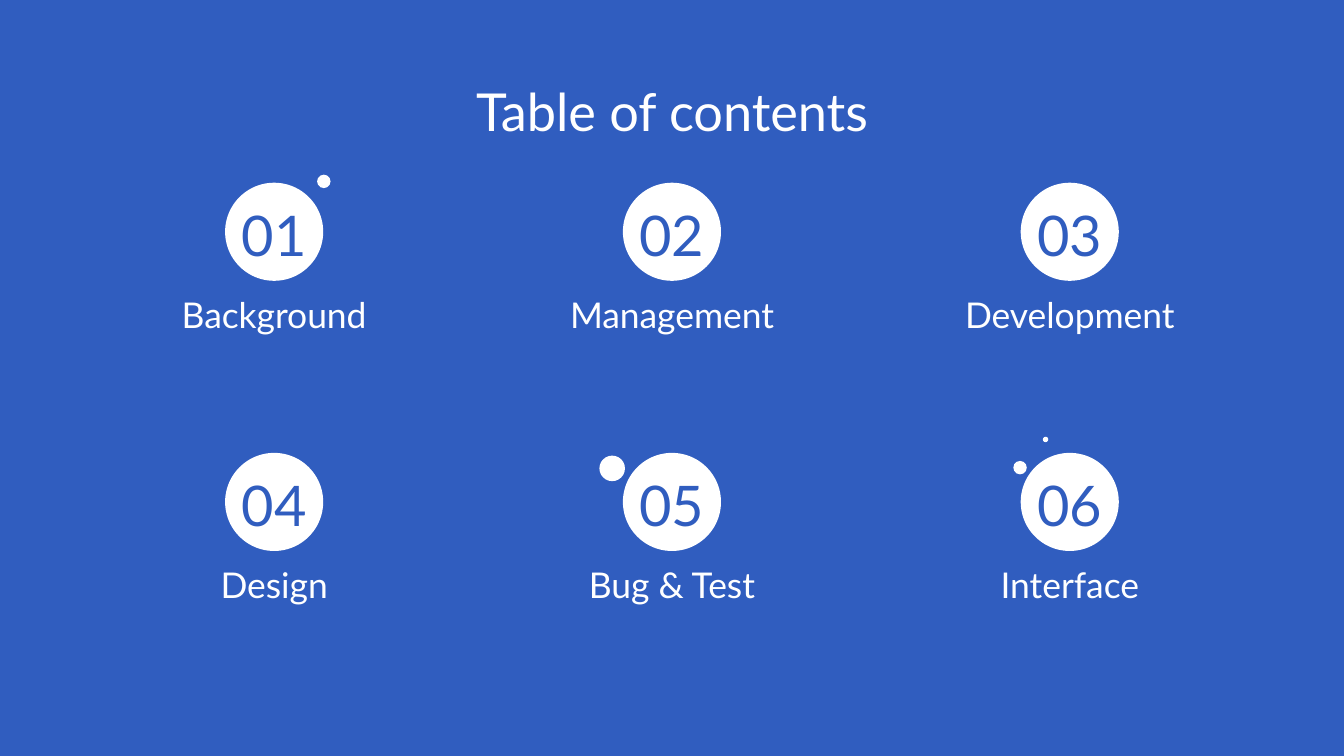
from pptx import Presentation
from pptx.dml.color import RGBColor
from pptx.enum.shapes import MSO_SHAPE
from pptx.enum.text import MSO_ANCHOR, MSO_AUTO_SIZE, PP_ALIGN
from pptx.util import Inches, Pt

BLUE = RGBColor(0x30, 0x5D, 0xBF)
WHITE = RGBColor(0xFF, 0xFF, 0xFF)

deck = Presentation()
deck.slide_width = Inches(10)
deck.slide_height = Inches(10 * 9 / 16)
slide = deck.slides.add_slide(deck.slide_layouts[5])
slide.background.fill.solid()
slide.background.fill.fore_color.rgb = BLUE


def put_text(box, text, size, color=WHITE, anchor=MSO_ANCHOR.TOP):
    frame = box.text_frame
    frame.word_wrap = True
    frame.auto_size = MSO_AUTO_SIZE.NONE
    frame.vertical_anchor = anchor
    frame.margin_left = frame.margin_right = Inches(0.1)
    frame.margin_top = frame.margin_bottom = Inches(0.1)
    frame.text = text
    para = frame.paragraphs[0]
    para.alignment = PP_ALIGN.CENTER
    para.font.name = "Lato"
    para.font.size = Pt(size)
    para.font.color.rgb = color


def add_dot(left, top, size):
    dot = slide.shapes.add_shape(
        MSO_SHAPE.OVAL, Inches(left), Inches(top), Inches(size), Inches(size))
    dot.shadow.inherit = False
    dot.fill.solid()
    dot.fill.fore_color.rgb = WHITE
    dot.line.fill.background()


title = slide.shapes.title
title.left, title.top = Inches(0.34), Inches(0.49)
title.width, title.height = Inches(9.32), Inches(0.63)
put_text(title, "Table of contents", 28)

# Topics fill a grid of three columns and two rows
topics = ["Background", "Management", "Development",
          "Design", "Bug & Test", "Interface"]
disc, wide = 0.73, 2.65
for i, topic in enumerate(topics):
    row, col = divmod(i, 3)
    mid = 2.04 + 2.96 * col
    top = 1.36 + 2.01 * row
    left = mid - disc / 2
    add_dot(left, top, disc)
    number = slide.shapes.add_textbox(
        Inches(left), Inches(top), Inches(disc), Inches(disc))
    put_text(number, f"{i + 1:02}", 30, color=BLUE, anchor=MSO_ANCHOR.BOTTOM)
    label = slide.shapes.add_textbox(
        Inches(mid - wide / 2), Inches(top + 0.72), Inches(wide), Inches(0.46))
    put_text(label, topic, 19)

# Small dots around the discs
for left, top, size in [(2.36, 1.3, 0.1), (7.54, 3.43, 0.1),
                        (7.76, 3.25, 0.04), (4.46, 3.39, 0.19)]:
    add_dot(left, top, size)

deck.save("out.pptx")
